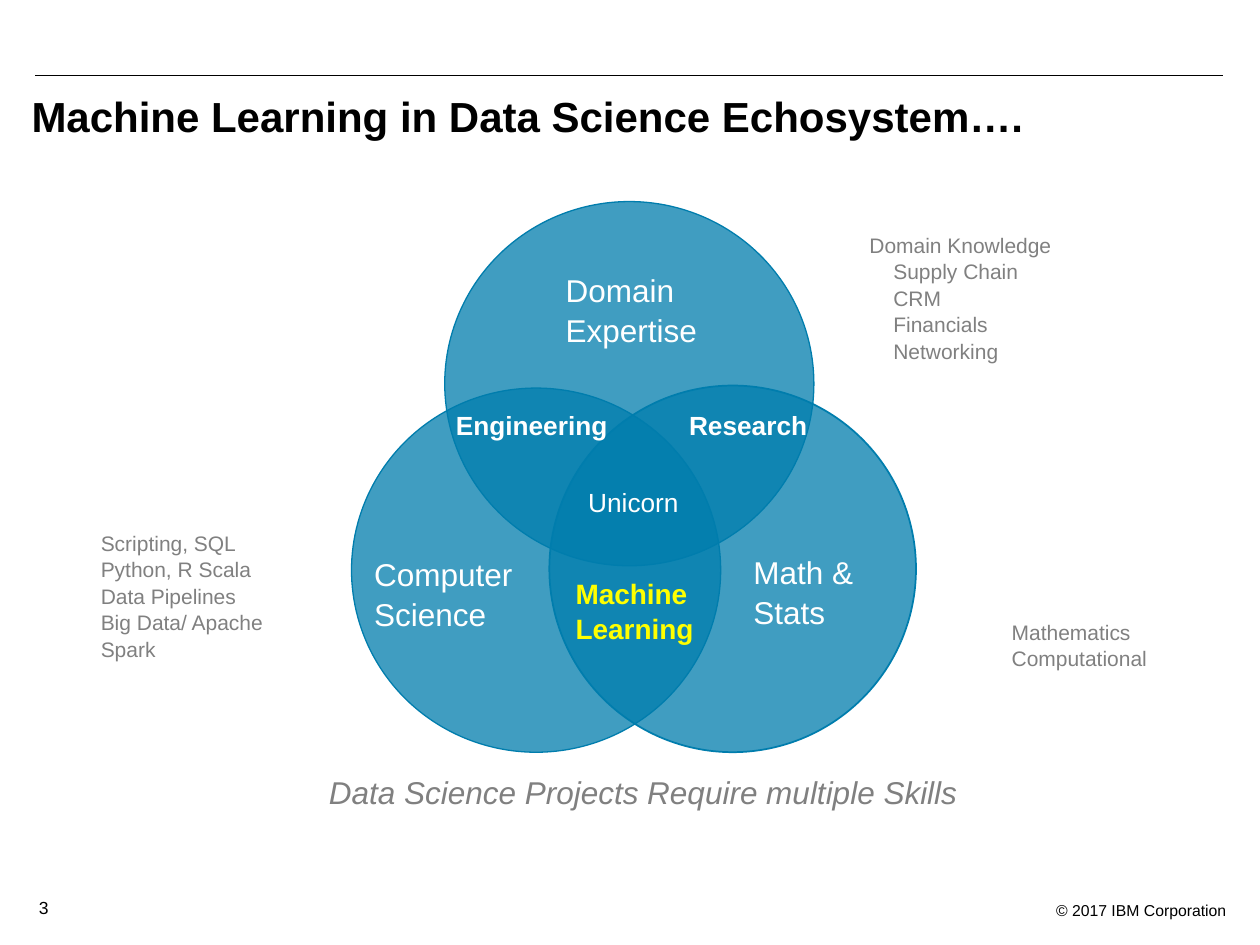
from pptx import Presentation
from pptx.dml.color import RGBColor
from pptx.enum.shapes import MSO_CONNECTOR, MSO_SHAPE
from pptx.enum.text import MSO_ANCHOR, MSO_AUTO_SIZE, PP_ALIGN
from pptx.oxml.ns import qn
from pptx.util import Inches, Pt
from lxml.etree import SubElement

BLUE, GREY, WHITE, BLACK, YELLOW = "007DAD", "808080", "FFFFFF", "000000", "FFFF00"
WIDE_INSETS = (0.1, 0.05, 0.1, 0.05)
SLIM_INSETS = (0.02, 0.02, 0.02, 0.02)


def color(hex_code):
    return RGBColor.from_string(hex_code)


def place(shape, left, top, width, height):
    shape.left, shape.top = Inches(left), Inches(top)
    shape.width, shape.height = Inches(width), Inches(height)


def write(shape, text, size=12, fill=BLACK, bold=False, italic=False,
          align=PP_ALIGN.LEFT, anchor=MSO_ANCHOR.TOP, insets=WIDE_INSETS, indent=0):
    """Write one paragraph per line; indent applies to all after the first."""
    frame = shape.text_frame
    frame.auto_size = MSO_AUTO_SIZE.NONE
    frame.word_wrap = True
    frame.vertical_anchor = anchor
    (frame.margin_left, frame.margin_top,
     frame.margin_right, frame.margin_bottom) = map(Inches, insets)
    frame.text = text
    for number, paragraph in enumerate(frame.paragraphs):
        if indent and number:
            paragraph._p.get_or_add_pPr().set("marL", str(Inches(indent)))
        paragraph.alignment = align
        paragraph.line_spacing = 1.05
        font = paragraph.font
        font.name, font.size = "Arial", Pt(size)
        font.bold, font.italic = bold, italic
        font.color.rgb = color(fill)


def add_text(slide, box, text, **text_format):
    write(slide.shapes.add_textbox(*map(Inches, box)), text, **text_format)


def add_circle(slide, box, line_width):
    circle = slide.shapes.add_shape(MSO_SHAPE.OVAL, *map(Inches, box))
    circle.shadow.inherit = False
    circle.fill.solid()
    circle.fill.fore_color.rgb = color(BLUE)
    # 75 % opacity lets the overlaps show
    solid = circle.fill._xPr.find(qn("a:solidFill"))
    SubElement(solid[0], qn("a:alpha")).set("val", "75000")
    circle.line.color.rgb = color(BLUE)
    circle.line.width = Pt(line_width)


def add_rule(slide, left, right, top):
    rule = slide.shapes.add_connector(
        MSO_CONNECTOR.STRAIGHT, *map(Inches, (left, top, right, top)))
    rule.line.color.rgb = color(BLACK)
    rule.line.width = Pt(0.75)
    SubElement(rule._element.spPr, qn("a:effectLst"))


def main():
    deck = Presentation()
    deck.slide_width, deck.slide_height = Inches(10), Inches(7.5)
    slide = deck.slides.add_slide(deck.slide_layouts[5])

    # Header and footer
    add_rule(slide, 0.28, 9.71, 0.6)
    title = slide.shapes.title
    place(title, 0.15, 0.65, 9.68, 0.42)
    write(title, "Machine Learning in Data Science Echosystem….", size=24, bold=True)
    add_text(slide, (6.49, 7.09, 3.34, 0.25), "© 2017 IBM Corporation",
             size=9, align=PP_ALIGN.RIGHT)
    add_text(slide, (0.21, 7.06, 0.6, 0.27), "3", size=10)

    # Venn circles: domain, mathematics, computing
    add_circle(slide, (3.53, 1.6, 2.93, 2.89), 0.75)
    add_circle(slide, (4.36, 3.06, 2.91, 2.91), 1)
    add_circle(slide, (2.79, 3.08, 2.93, 2.89), 0.75)

    # Skill names
    for box, skill in (
        ((5.96, 4.45, 1.03, 0.48), "Math & Stats"),
        ((2.95, 4.45, 1.51, 0.51), "Computer\nScience"),
        ((4.47, 2.22, 1.6, 0.47), "Domain Expertise"),
    ):
        add_text(slide, box, skill, size=18, fill=WHITE,
                 anchor=MSO_ANCHOR.MIDDLE, insets=SLIM_INSETS)

    # Overlap names
    for box, overlap, bold in (
        ((4.57, 3.8, 1.14, 0.35), "Unicorn", False),
        ((5.37, 3.19, 1.19, 0.35), "Research", True),
        ((3.52, 3.19, 1.43, 0.35), "Engineering", True),
    ):
        add_text(slide, box, overlap, size=15, fill=WHITE, bold=bold)
    add_text(slide, (4.47, 4.51, 1.2, 0.64), "Machine\nLearning",
             size=16, fill=YELLOW, bold=True)

    # Notes beside the circles
    for box, details, indent in (
        ((0.78, 4.1, 1.34, 1.25),
         "Scripting, SQL\nPython, R Scala\nData Pipelines\nBig Data/ Apache Spark", 0),
        ((8.01, 4.9, 1.37, 0.43), "Mathematics\nComputational", 0),
        ((6.88, 1.96, 2.72, 0.8),
         "Domain Knowledge\nSupply Chain\nCRM\nFinancials\nNetworking", 0.19),
    ):
        add_text(slide, box, details, fill=GREY, indent=indent,
                 anchor=MSO_ANCHOR.MIDDLE, insets=SLIM_INSETS)

    # Closing line
    add_text(slide, (2.61, 6.1, 7.39, 0.34),
             "Data Science Projects Require multiple Skills",
             size=18, fill=GREY, italic=True, insets=(0, 0.02, 0.04, 0.02))

    deck.save("out.pptx")


if __name__ == "__main__":
    main()
